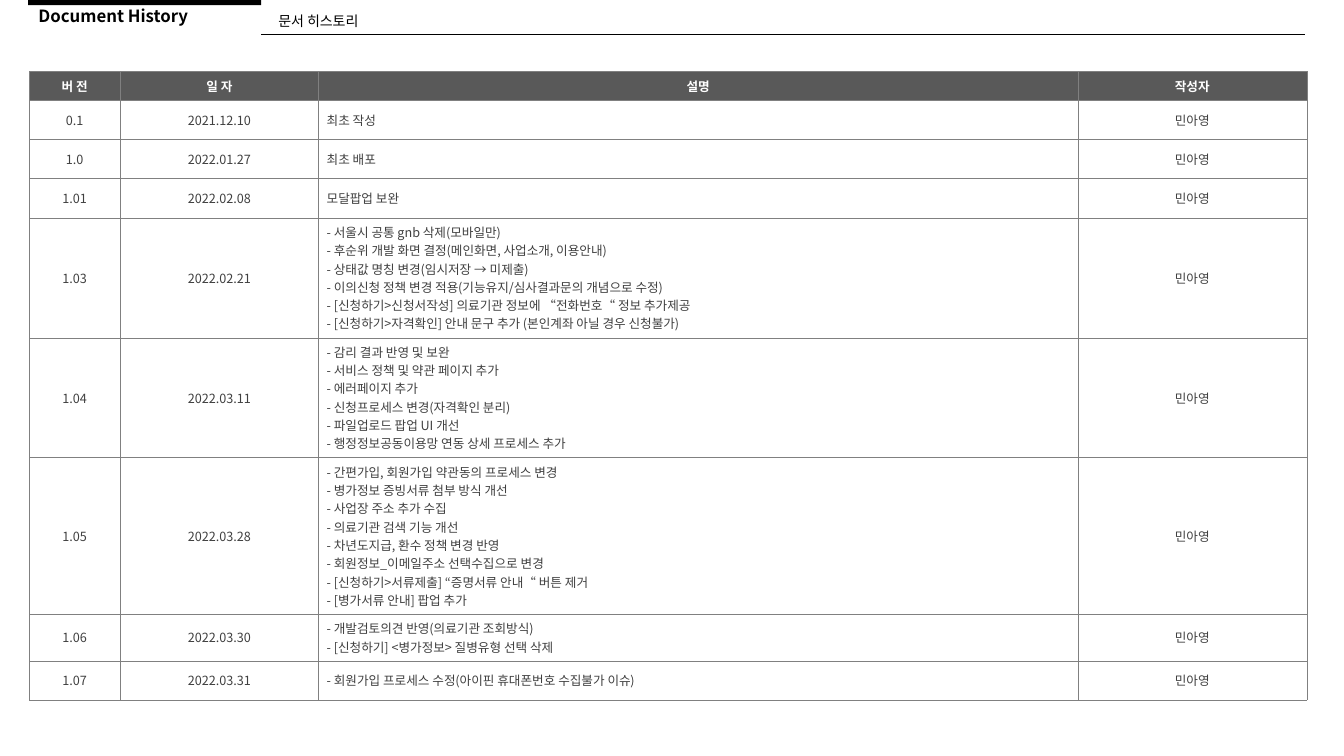
import pptx
import pptx.util
import pptx.dml.color
import pptx.enum.shapes
import pptx.enum.text
import pptx.oxml.ns
from lxml import etree

PX = 9144
FONT = "Noto Sans CJK KR"
COLORS = {"black": "000000", "white": "FFFFFF", "header": "595959",
          "text": "404040", "border": "808080"}
COLUMNS = [90, 197, 753, 227]
HEADER = ["버 전", "일 자", "설명", "작성자"]
AUTHOR = "민아영"
HISTORY = [
    ("0.1", "2021.12.10", ["최초 작성"]),
    ("1.0", "2022.01.27", ["최초 배포"]),
    ("1.01", "2022.02.08", ["모달팝업 보완"]),
    ("1.03", "2022.02.21", [
        "- 서울시 공통 gnb 삭제(모바일만)",
        "- 후순위 개발 화면 결정(메인화면, 사업소개, 이용안내)",
        "- 상태값 명칭 변경(임시저장 → 미제출)",
        "- 이의신청 정책 변경 적용(기능유지/심사결과문의 개념으로 수정)",
        "- [신청하기>신청서작성] 의료기관 정보에 “전화번호“ 정보 추가제공",
        "- [신청하기>자격확인] 안내 문구 추가 (본인계좌 아닐 경우 신청불가)"]),
    ("1.04", "2022.03.11", [
        "- 감리 결과 반영 및 보완",
        "- 서비스 정책 및 약관 페이지 추가",
        "- 에러페이지 추가",
        "- 신청프로세스 변경(자격확인 분리)",
        "- 파일업로드 팝업 UI 개선",
        "- 행정정보공동이용망 연동 상세 프로세스 추가"]),
    ("1.05", "2022.03.28", [
        "- 간편가입, 회원가입 약관동의 프로세스 변경",
        "- 병가정보 증빙서류 첨부 방식 개선",
        "- 사업장 주소 추가 수집",
        "- 의료기관 검색 기능 개선",
        "- 차년도지급, 환수 정책 변경 반영",
        "- 회원정보_이메일주소 선택수집으로 변경",
        "- [신청하기>서류제출] “증명서류 안내“ 버튼 제거",
        "- [병가서류 안내] 팝업 추가"]),
    ("1.06", "2022.03.30", [
        "- 개발검토의견 반영(의료기관 조회방식)",
        "- [신청하기] <병가정보> 질병유형 선택 삭제"]),
    ("1.07", "2022.03.31", [
        "- 회원가입 프로세스 수정(아이핀 휴대폰번호 수집불가 이슈)"]),
]


def px(n):
    return pptx.util.Emu(n * PX)


def rgb(name):
    return pptx.dml.color.RGBColor.from_string(COLORS[name])


def add_xml(parent, tag, **attrs):
    return etree.SubElement(parent, pptx.oxml.ns.qn(tag), attrs)


def format_runs(p, size, color, bold):
    for r in p.runs:
        r.font.size = pptx.util.Pt(size)
        r.font.bold = bold
        r.font.color.rgb = rgb(color)
        r.font.name = FONT
        add_xml(r.font._element, "a:ea", typeface=FONT)


def fill_placeholder(sp, text, box, size, bold):
    sp.left, sp.top, sp.width, sp.height = map(px, box)
    tf = sp.text_frame
    tf.text = text
    tf.auto_size = pptx.enum.text.MSO_AUTO_SIZE.NONE
    tf.vertical_anchor = pptx.enum.text.MSO_ANCHOR.TOP
    p = tf.paragraphs[0]
    pPr = p._p.get_or_add_pPr()
    pPr.set("marL", "0")
    pPr.set("indent", "0")
    add_xml(pPr, "a:buNone")
    p.alignment = pptx.enum.text.PP_ALIGN.LEFT
    p.line_spacing = 0.9
    p.space_before = pptx.util.Pt(0)
    format_runs(p, size, "black", bold)


def add_bar(slide, x, y, w, h):
    sp = slide.shapes.add_shape(pptx.enum.shapes.MSO_SHAPE.RECTANGLE,
                                px(x), px(y), px(w), px(h))
    sp.shadow.inherit = False
    sp.fill.solid()
    sp.fill.fore_color.rgb = rgb("black")
    sp.line.fill.background()


def add_rule(slide, x1, x2, y):
    line = slide.shapes.add_connector(pptx.enum.shapes.MSO_CONNECTOR.STRAIGHT,
                                      px(x1), px(y), px(x2), px(y))
    line.line.color.rgb = rgb("black")
    line.line.width = pptx.util.Pt(0.5)
    add_xml(line._element.spPr, "a:effectLst")


def add_borders(cell):
    tcPr = cell._tc.get_or_add_tcPr()
    for tag in ("a:lnL", "a:lnR", "a:lnT", "a:lnB"):
        ln = add_xml(tcPr, tag, w=str(pptx.util.Pt(0.25)))
        add_xml(add_xml(ln, "a:solidFill"), "a:srgbClr", val=COLORS["border"])


def fill_cell(cell, text, centered, header):
    add_borders(cell)
    if header:
        cell.fill.solid()
        cell.fill.fore_color.rgb = rgb("header")
    else:
        cell.fill.background()
    cell.margin_left = cell.margin_right = px(8)
    cell.margin_top = cell.margin_bottom = px(5)
    cell.vertical_anchor = pptx.enum.text.MSO_ANCHOR.MIDDLE
    cell.text_frame.text = text
    align = pptx.enum.text.PP_ALIGN
    for p in cell.text_frame.paragraphs:
        p.alignment = align.CENTER if centered else align.LEFT
        format_runs(p, 9, "white" if header else "text", header)


def add_history_table(slide, x, y):
    rows = [HEADER] + [[version, date, "\n".join(notes), AUTHOR]
                       for version, date, notes in HISTORY]
    heights = [24] + [39] * len(HISTORY)
    table = slide.shapes.add_table(len(rows), len(COLUMNS), px(x), px(y),
                                   px(sum(COLUMNS)), px(sum(heights))).table
    table.horz_banding = False
    for column, width in zip(table.columns, COLUMNS):
        column.width = px(width)
    for i, texts in enumerate(rows):
        table.rows[i].height = px(heights[i])
        for j, text in enumerate(texts):
            header = i == 0
            fill_cell(table.cell(i, j), text, header or j != 2, header)


def main():
    prs = pptx.Presentation()
    prs.slide_width, prs.slide_height = px(1333), px(750)
    slide = prs.slides.add_slide(prs.slide_layouts[1])
    add_bar(slide, 28, 0, 231, 5)
    add_rule(slide, 259, 1294, 34)
    add_history_table(slide, 29, 71)
    title, subtitle = slide.placeholders
    fill_placeholder(title, "Document History", (28, 3, 231, 32), 12, True)
    fill_placeholder(subtitle, "문서 히스토리", (266, 9, 696, 26), 10, False)
    prs.save("out.pptx")


if __name__ == "__main__":
    main()
